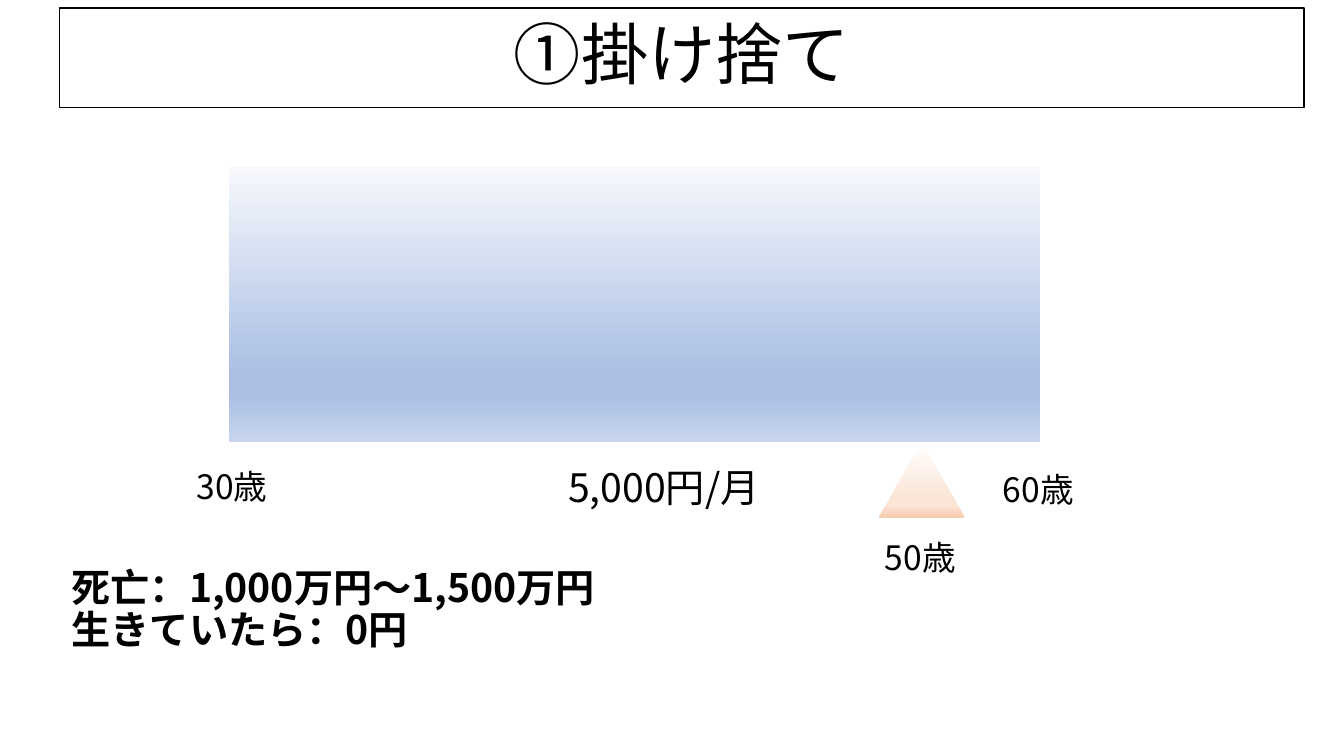
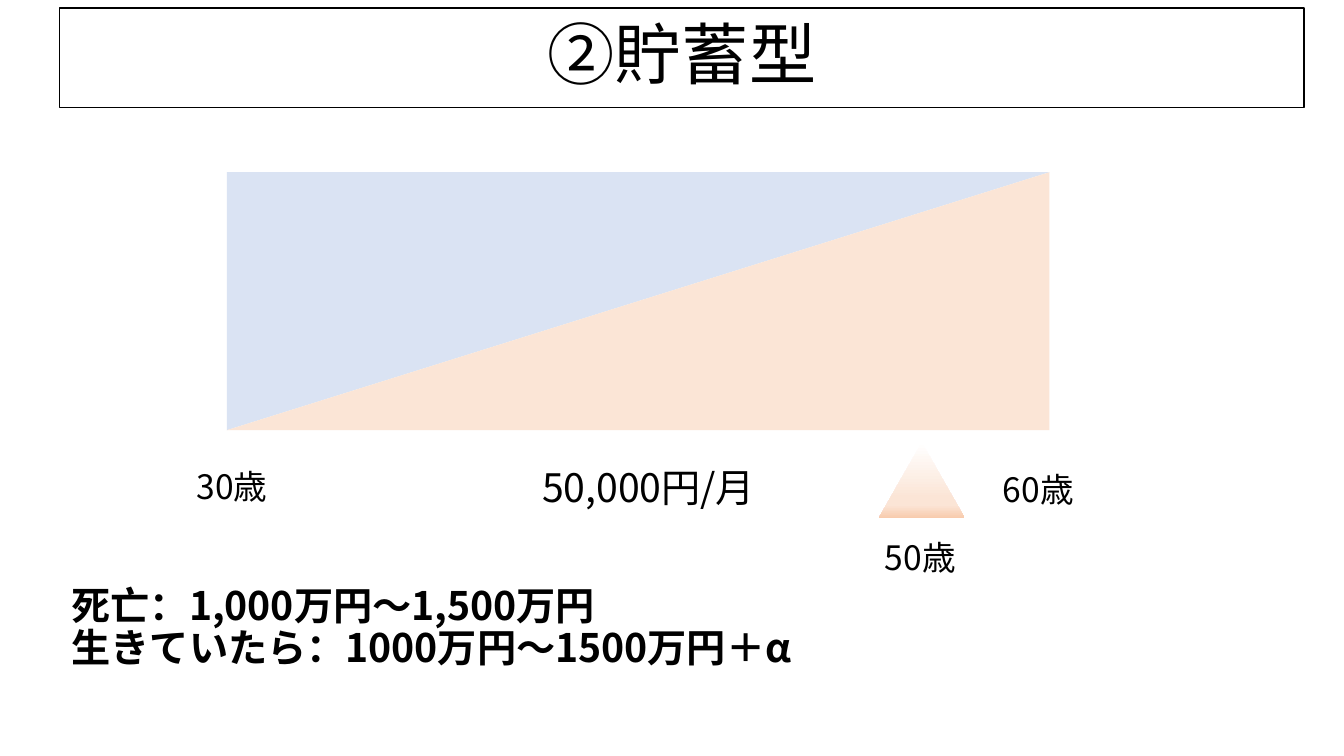
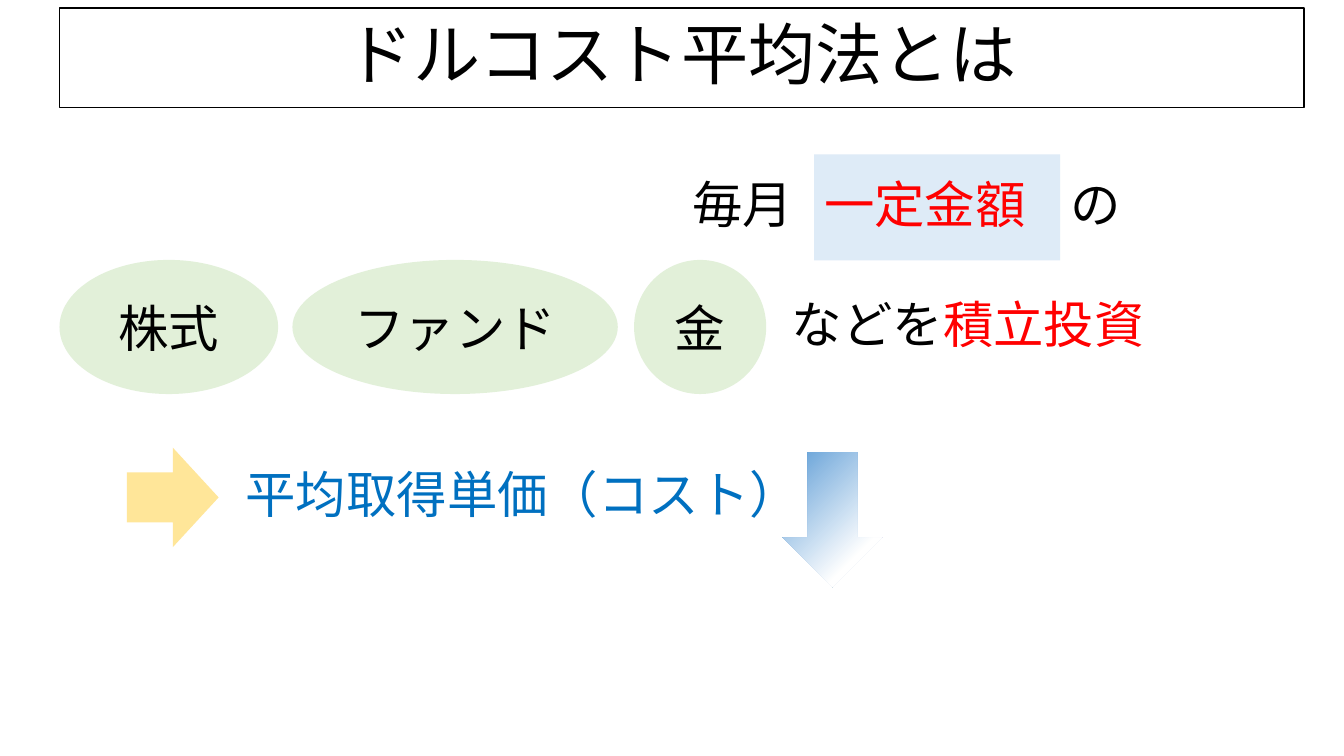
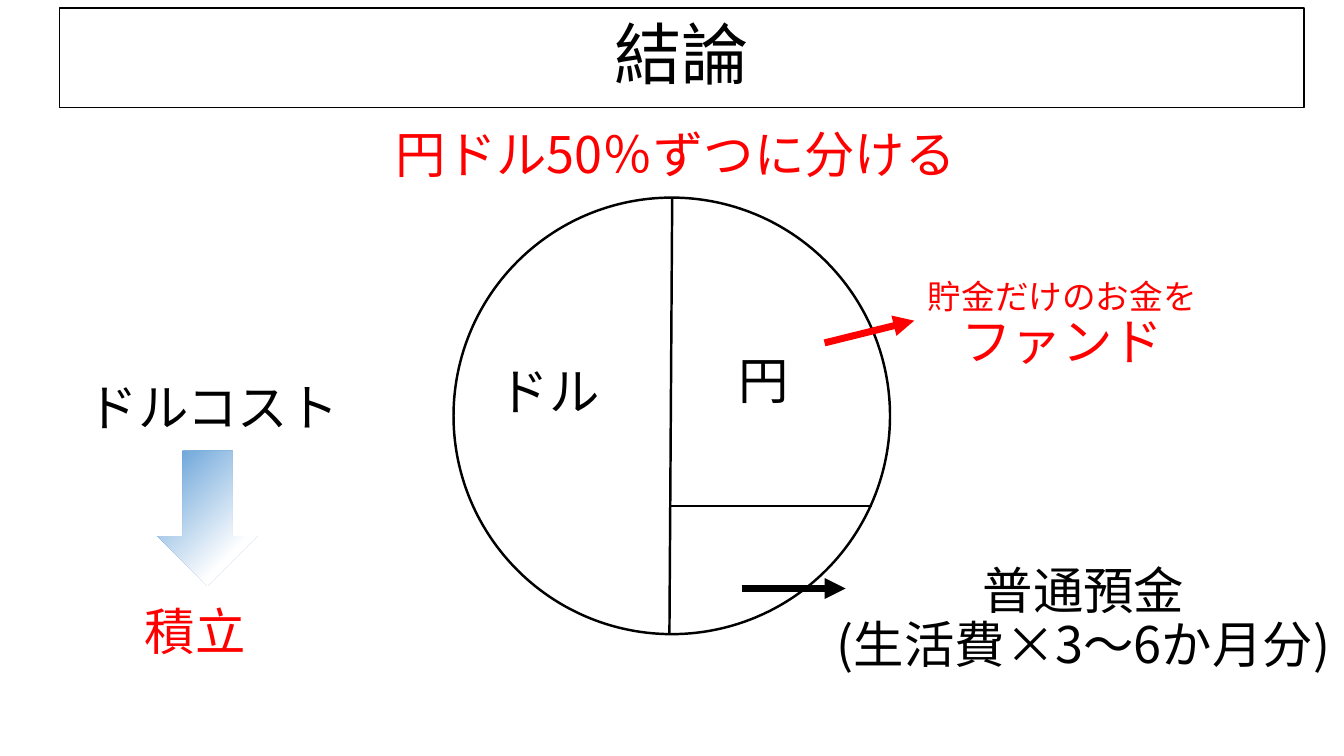
"""Build four slides on life insurance types and dollar cost averaging."""
from lxml import etree
from pptx import Presentation
from pptx.dml.color import RGBColor
from pptx.enum import shapes as es, text as et
from pptx.oxml import ns
from pptx.util import Cm, Pt

FONT = "Noto Sans CJK JP"
BLACK, RED, BLUE = "000000", "FF0000", "0070C0"
SKY, PEACH, GREEN = "DAE3F3", "FBE5D6", "E2F0D9"
HAZE = (270, [(0, "F6F8FC"), (74, "ABC0E4"), (83, "ABC0E4"), (100, "C7D5ED")])
GLOW = (270, [(0, "FFFFFF"), (74, PEACH), (83, PEACH), (100, "F8CBAD")])
FADE = (45, [(0, "5B9BD5"), (76, "FFFFFF")])
KIND, LEFT, MID = es.MSO_SHAPE, et.PP_ALIGN.LEFT, et.PP_ALIGN.CENTER
TOP, HALF = et.MSO_ANCHOR.TOP, et.MSO_ANCHOR.MIDDLE
rgb = RGBColor.from_string


def write(item, rows, size=36, color=BLACK, bold=False, align=LEFT, gap=0.9, anchor=HALF):
    """Fill a shape with rows, each a list of (text, changes to the font)."""
    frame = item.text_frame
    for key, val in dict(word_wrap=True, auto_size=et.MSO_AUTO_SIZE.NONE,
                         vertical_anchor=anchor).items():
        setattr(frame, key, val)
    for num, row in enumerate(rows):
        para = frame.add_paragraph() if num else frame.paragraphs[0]
        for key, val in dict(alignment=align, line_spacing=gap,
                             space_before=Pt(0), space_after=Pt(0)).items():
            setattr(para, key, val)
        for words, diff in row:
            run = para.add_run()
            run.text = words
            look = dict(size=size, color=color) | diff
            for key, val in dict(name=FONT, size=Pt(look["size"]), bold=bold).items():
                setattr(run.font, key, val)
            run.font.color.rgb = rgb(look["color"])
            east = etree.SubElement(run.font._element, ns.qn("a:ea"))
            east.set("typeface", FONT)


def draw(page, kind, box, fill=None, line=None):
    """Add a text box (kind None) or a preset shape at a box in centimetres."""
    spot = [Cm(n) for n in box]
    if kind is None:
        return page.shapes.add_textbox(*spot)
    item = page.shapes.add_shape(kind, *spot)
    item.shadow.inherit = False
    if fill is None:
        item.fill.background()
    elif isinstance(fill, str):
        item.fill.solid()
        item.fill.fore_color.rgb = rgb(fill)
    else:
        item.fill.gradient()
        item.fill.gradient_angle = fill[0]
        stops = item._element.spPr.find(".//" + ns.qn("a:gsLst"))
        stops[:] = []
        for place, tone in fill[1]:
            stop = etree.SubElement(stops, ns.qn("a:gs"), pos=str(place * 1000))
            etree.SubElement(stop, ns.qn("a:srgbClr"), val=tone)
    if line:
        item.line.color.rgb = rgb(BLACK)
        item.line.width = Pt(line)
    else:
        item.line.fill.background()
    return item


deck = Presentation()
deck.slide_width, deck.slide_height = Cm(33.87), Cm(19.05)
pages = []
for name, form in [("①掛け捨て", 1), ("②貯蓄型", 1), ("ドルコスト平均法とは", 5), ("結論", 5)]:
    page = deck.slides.add_slide(deck.slide_layouts[form])
    head = page.shapes.title
    for key, val in dict(left=1.5, top=0.2, width=31.37, height=2.51).items():
        setattr(head, key, Cm(val))
    head.line.color.rgb = rgb(BLACK)
    head.line.width = Pt(1.25)
    write(head, [[(name, {})]], size=48, align=MID)
    pages.append(page)
term, save, cost, close = pages

draw(term, KIND.RECTANGLE, (5.77, 4.22, 20.45, 6.93), HAZE)
for flip, tone in [("flipV", SKY), ("flipH", PEACH)]:
    half = draw(save, KIND.RIGHT_TRIANGLE, (5.72, 4.34, 20.73, 6.5), tone)
    half._element.spPr.xfrm.set(flip, "1")

plans = [
    (term, "5,000円/月", 14.07, 5.56, 13, 18.64, "生きていたら：0円"),
    (save, "50,000円/月", 13.41, 6.25, 13.46, 24.49, "生きていたら：1000万円～1500万円＋α"),
]
for page, fee, left, wide, top, span, alive in plans:
    draw(page, KIND.ISOSCELES_TRIANGLE, (22.15, 11.15, 2.16, 1.9), GLOW)
    for words, box, size in [
        ("30歳", (4.7, 11.61, 3.02, 1.27), 24),
        ("60歳", (25.02, 11.68, 3.02, 1.27), 24),
        ("50歳", (22.05, 13.41, 2.59, 1.27), 24),
        (fee, (left, 11.56, wide, 1.45), 28),
    ]:
        write(draw(page, None, box), [[(words, {})]], size=size, gap=1.0, anchor=TOP)
    body = page.placeholders[1]
    for key, val in dict(left=1.55, top=top, width=span, height=4.78).items():
        setattr(body, key, Cm(val))
    write(body, [[("死亡：1,000万円～1,500万円", {})], [(alive, {})]], size=28, bold=True)
    for para in body.text_frame.paragraphs:
        props = para._p.get_or_add_pPr()
        props.set("marL", "0")
        props.set("indent", "0")
        etree.SubElement(props, ns.qn("a:buNone"))

for words, left, wide in [("株式", 1.5, 5.51), ("ファンド", 7.37, 8.2), ("金", 15.98, 3.33)]:
    oval = draw(cost, KIND.OVAL, (left, 6.55, wide, 3.38), GREEN)
    write(oval, [[(words, {})]], align=MID, gap=1.0)
sum_box = draw(cost, KIND.RECTANGLE, (20.52, 3.89, 6.2, 2.67), "DEEBF7")
write(sum_box, [[("一定金額", {})]], color=RED)
draw(cost, KIND.RIGHT_ARROW, (3.2, 11.28, 2.31, 2.51), "FFE699")
draw(close, KIND.FLOWCHART_CONNECTOR, (11.43, 4.98, 11, 11), line=1.75)

notes = [
    (cost, (17.2, 3.53, 3.33, 3.4), [[("毎月", {})]], BLACK, LEFT),
    (cost, (26.72, 3.89, 2.44, 2.67), [[("の", {})]], BLACK, LEFT),
    (cost, (19.71, 6.55, 11.94, 3.4), [[("などを", {}), ("積立投資", dict(color=RED))]], BLACK, LEFT),
    (cost, (5.94, 10.82, 16.26, 3.4), [[("平均取得単価（コスト）", {})]], BLUE, LEFT),
    (close, (23.01, 6.12, 7.52, 4.19),
     [[("貯金だけのお金を", dict(size=24))], [("ファンド", {})]], RED, MID),
    (close, (4.8, 2.26, 24.46, 3.4), [[("円ドル50％ずつに分ける", {})]], RED, MID),
    (close, (12.32, 8.23, 3.33, 3.4), [[("ドル", {})]], BLACK, LEFT),
    (close, (18.36, 7.95, 2.59, 3.4), [[("円", {})]], BLACK, LEFT),
    (close, (20.75, 13.39, 13.11, 4.47),
     [[("普通預金", {})], [("(生活費×3～6か月分)", {})]], BLACK, MID),
    (close, (1.96, 8.64, 7.39, 3.4), [[("ドルコスト", {})]], BLACK, LEFT),
    (close, (3.4, 14.27, 3.33, 3.4), [[("積立", {})]], RED, LEFT),
]
for page, box, rows, color, align in notes:
    write(draw(page, None, box), rows, color=color, align=align)

for page, left, top in [(cost, 19.28, 11.84), (close, 3.53, 11.81)]:
    draw(page, KIND.RIGHT_ARROW, (left, top, 3.4, 2.51), FADE).rotation = 90

for ends, color, wide, tip in [
    ((16.94, 4.98, 16.87, 15.98), BLACK, 1.75, False),
    ((16.87, 12.75, 21.97, 12.75), BLACK, 1.75, False),
    ((20.78, 8.64, 23.04, 8.08), RED, 5, True),
    ((18.69, 14.83, 21.31, 14.83), BLACK, 5, True),
]:
    rule = close.shapes.add_connector(es.MSO_CONNECTOR.STRAIGHT, *[Cm(n) for n in ends])
    rule.line.color.rgb = rgb(color)
    rule.line.width = Pt(wide)
    if tip:
        etree.SubElement(rule.line._get_or_add_ln(), ns.qn("a:tailEnd"), type="triangle")
    etree.SubElement(rule._element.spPr, ns.qn("a:effectLst"))

deck.save("out.pptx")
